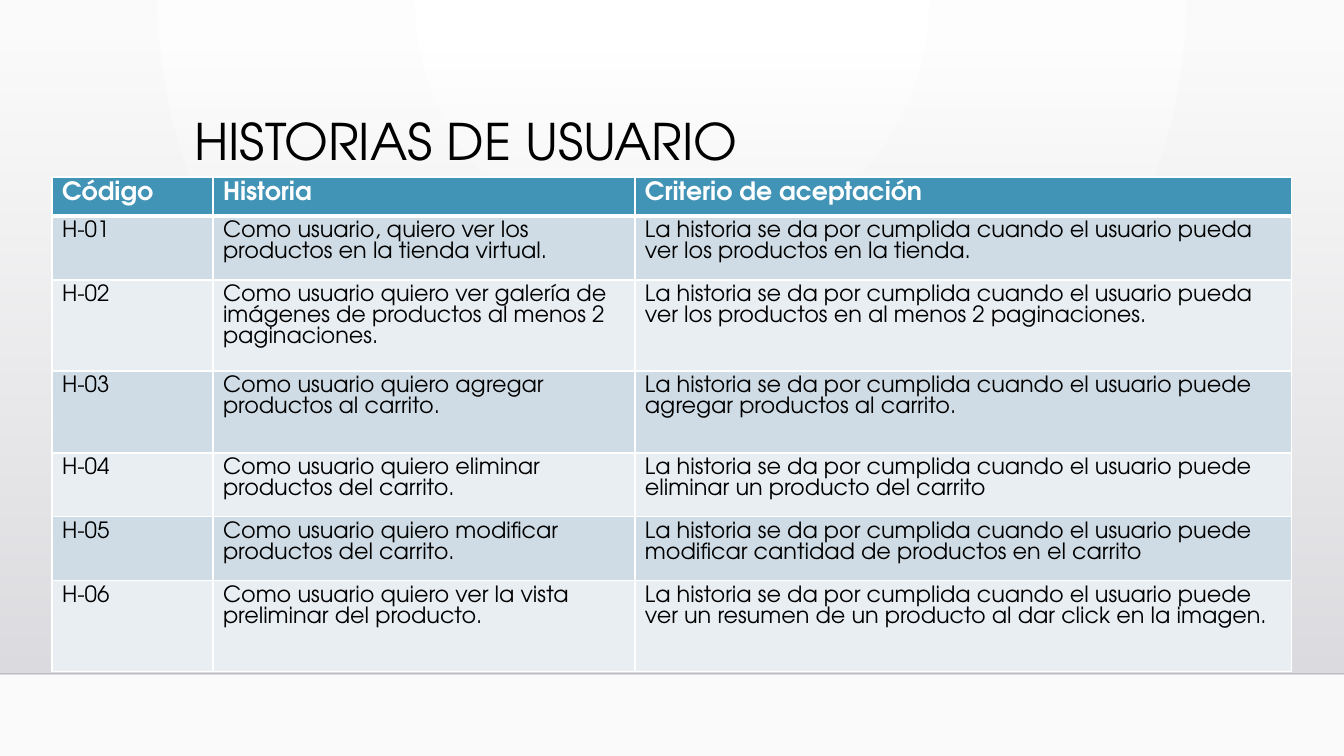
from lxml import etree
from pptx import Presentation, util as u
from pptx.dml.color import RGBColor
from pptx.enum import shapes, text as t
from pptx.oxml import parse_xml
from pptx.oxml.ns import nsdecls, qn

FONT = "TeX Gyre Adventor"
BLACK = RGBColor(0x00, 0x00, 0x00)
WHITE = RGBColor(0xFF, 0xFF, 0xFF)
OFF_WHITE = RGBColor(0xFA, 0xFA, 0xFA)
WALL_TOP = RGBColor(0xDC, 0xDC, 0xE0)
WALL_BOTTOM = RGBColor(0xDE, 0xDE, 0xE2)
FLOOR_LINE = RGBColor(0x00, 0x00, 0x01)
HEADER_BLUE = RGBColor(0x42, 0x94, 0xB6)
BANDS = (RGBColor(0xCF, 0xDC, 0xE5), RGBColor(0xE9, 0xEE, 0xF3))

SLIDE_WIDTH, SLIDE_HEIGHT = 1344, 756
FLOOR = 674
COLUMN_WIDTHS = (161, 422, 657)
ROW_HEIGHTS = (39, 64, 91, 82, 64, 64, 91)
DONE = "La historia se da por cumplida cuando el usuario "
HEADERS = ("Código", "Historia", "Criterio de aceptación")
STORIES = (
    ("Como usuario, quiero ver los productos en la tienda virtual.",
     "pueda ver los productos en la tienda."),
    ("Como usuario quiero ver galería de imágenes de productos al menos 2 paginaciones.",
     "pueda ver los productos en al menos 2 paginaciones."),
    ("Como usuario quiero agregar productos al carrito.",
     "puede agregar productos al carrito."),
    ("Como usuario quiero eliminar productos del carrito.",
     "puede eliminar un producto del carrito"),
    ("Como usuario quiero modificar productos del carrito.",
     "puede modificar cantidad de productos en el carrito"),
    ("Como usuario quiero ver la vista preliminar del producto.",
     "puede ver un resumen de un producto al dar click en la imagen."),
)


def px(length):
    return u.Emu(round(length * u.Inches(1) / 100.8))


def write(frame, words, size=16, color=BLACK, bold=False):
    frame.word_wrap = True
    paragraph = frame.paragraphs[0]
    paragraph.alignment = t.PP_ALIGN.LEFT
    paragraph.line_spacing = 1.0
    run = paragraph.add_run()
    run.text = words
    run.font.name = FONT
    run.font.size = u.Pt(size)
    run.font.bold = bold
    run.font.color.rgb = color


def set_alpha(color_element, percent):
    etree.SubElement(color_element, qn("a:alpha")).set("val", str(percent * 1000))


class StorySlide:
    def __init__(self, presentation):
        self.slide = presentation.slides.add_slide(presentation.slide_layouts[5])
        self.shapes = self.slide.shapes

    def gradient(self, fill, start, end):
        fill.gradient()
        for stop, color in zip(fill.gradient_stops, (start, end)):
            stop.color.rgb = color

    def background(self):
        self.gradient(self.slide.background.fill, WHITE, OFF_WHITE)
        linear = next(self.slide._element.iter(qn("a:lin")))
        linear.getparent().replace(linear, parse_xml(
            f'<a:path {nsdecls("a")} path="circle">'
            '<a:fillToRect l="43000" t="0" r="43000" b="100000"/></a:path>'))

    def wall(self, left, top, width, height):
        shape = self.shapes.add_shape(
            shapes.MSO_SHAPE.RECTANGLE, px(left), px(top), px(width), px(height))
        shape.shadow.inherit = False
        shape.line.fill.background()
        self.gradient(shape.fill, WALL_TOP, WALL_BOTTOM)
        shape.fill.gradient_angle = 270
        set_alpha(next(shape._element.spPr.iter(qn("a:srgbClr"))), 0)

    def line(self, x1, y1, x2, y2):
        connector = self.shapes.add_connector(
            shapes.MSO_CONNECTOR.STRAIGHT, px(x1), px(y1), px(x2), px(y2))
        connector.line.width = u.Pt(1)
        connector.line.color.rgb = FLOOR_LINE
        properties = connector._element.spPr
        set_alpha(next(properties.iter(qn("a:srgbClr"))), 20)
        etree.SubElement(properties, qn("a:effectLst"))

    def title(self, words, left, top, width, height):
        title = self.shapes.title
        title.left, title.top = px(left), px(top)
        title.width, title.height = px(width), px(height)
        title.text_frame.vertical_anchor = t.MSO_ANCHOR.BOTTOM
        write(title.text_frame, words, size=36)
        # Bring the title in front of the wall
        self.shapes._spTree.append(title._element)

    def borders(self, cell, **widths):
        properties = cell._tc.get_or_add_tcPr()
        for side in "LRTB":
            properties.append(parse_xml(
                f'<a:ln{side} {nsdecls("a")} w="{u.Pt(widths.get(side, 1))}">'
                f'<a:solidFill><a:srgbClr val="{WHITE}"/></a:solidFill></a:ln{side}>'))

    def table(self, rows, left, top):
        table = self.shapes.add_table(
            len(rows), len(COLUMN_WIDTHS), px(left), px(top),
            px(sum(COLUMN_WIDTHS)), px(sum(ROW_HEIGHTS))).table
        for column, width in zip(table.columns, COLUMN_WIDTHS):
            column.width = px(width)
        for row, height in zip(table.rows, ROW_HEIGHTS):
            row.height = px(height)
        for i, row in enumerate(rows):
            for j, words in enumerate(row):
                cell = table.cell(i, j)
                self.borders(cell, T=3 if i == 1 else 1, B=3 if i == 0 else 1)
                cell.fill.solid()
                if i == 0:
                    cell.fill.fore_color.rgb = HEADER_BLUE
                    write(cell.text_frame, words, size=18, color=WHITE, bold=True)
                else:
                    cell.fill.fore_color.rgb = BANDS[(i - 1) % 2]
                    write(cell.text_frame, words)


def main():
    presentation = Presentation()
    presentation.slide_width = px(SLIDE_WIDTH)
    presentation.slide_height = px(SLIDE_HEIGHT)
    page = StorySlide(presentation)

    # Backdrop
    page.background()
    page.wall(0, 51, SLIDE_WIDTH, FLOOR - 51)
    page.line(0, FLOOR, SLIDE_WIDTH, FLOOR)

    # Title and user stories
    page.title("HISTORIAS DE USUARIO", 184, 104, 912, 72)
    rows = [HEADERS] + [(f"H-{number:02}", story, DONE + criterion)
                        for number, (story, criterion) in enumerate(STORIES, 1)]
    page.table(rows, 52, 177)

    presentation.save("out.pptx")


if __name__ == "__main__":
    main()
